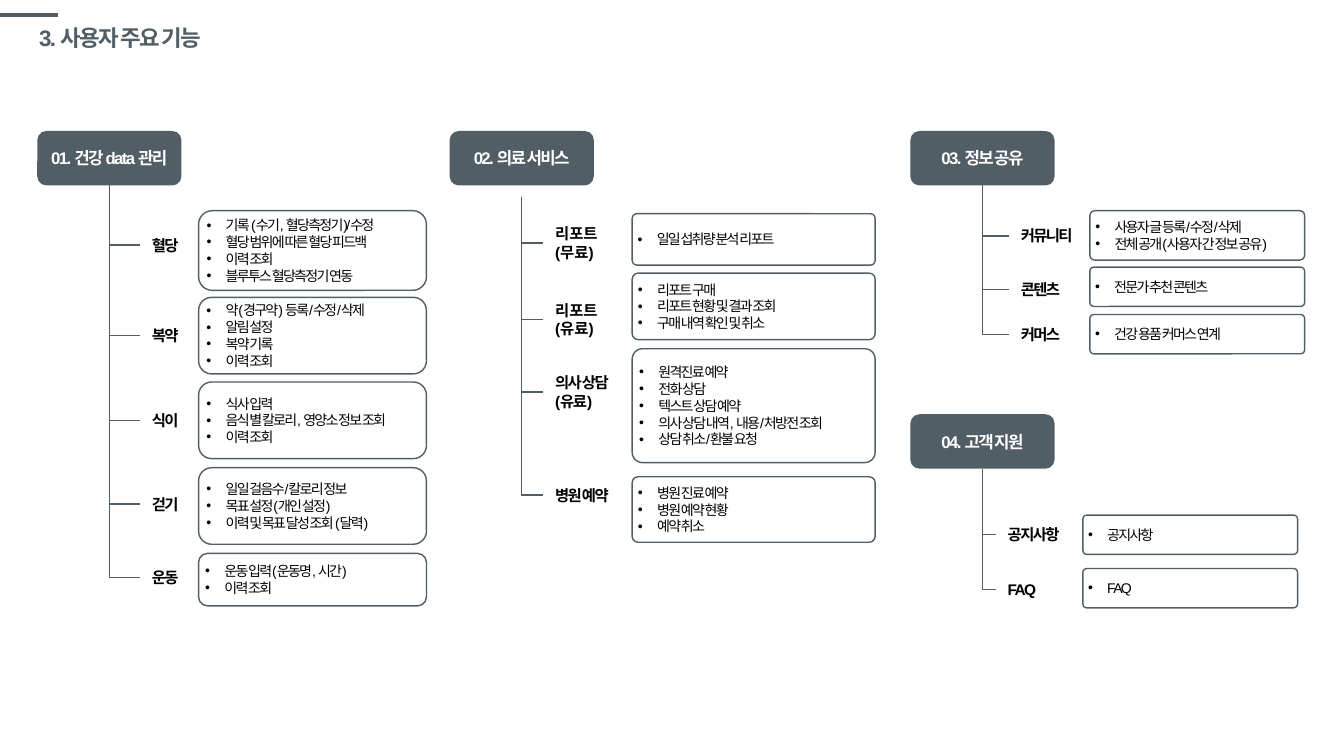
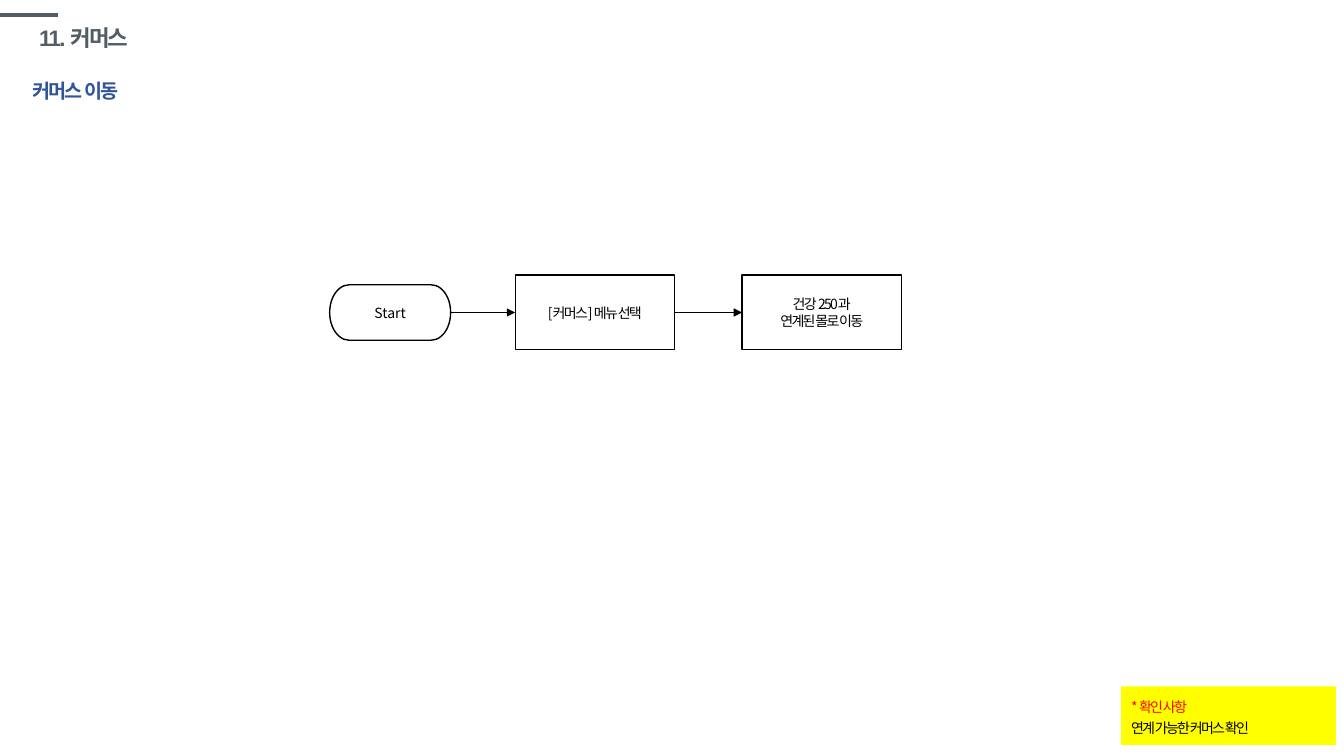
import dataclasses

import pptx
import pptx.dml.color
import pptx.enum.shapes
import pptx.enum.text
import pptx.oxml.ns
import pptx.oxml.xmlchemy
import pptx.util

Inches = pptx.util.Inches
Pt = pptx.util.Pt
Shape = pptx.enum.shapes.MSO_SHAPE
Link = pptx.enum.shapes.MSO_CONNECTOR
Align = pptx.enum.text.PP_ALIGN
Anchor = pptx.enum.text.MSO_ANCHOR
qn = pptx.oxml.ns.qn
new_element = pptx.oxml.xmlchemy.OxmlElement


@dataclasses.dataclass(frozen=True)
class Theme:
    slate: str = "515E65"
    black: str = "000000"
    white: str = "FFFFFF"
    blue: str = "2F5597"
    red: str = "FF0000"
    yellow: str = "FFFF00"
    latin: str = "Arial"
    korean: str = "Noto Sans CJK KR"
    title: int = 16
    subtitle: int = 14
    heading: int = 12
    label: int = 11
    body: int = 10
    tight: int = -120


THEME = Theme()


@dataclasses.dataclass
class Item:
    label: list
    middle: float
    top: float
    height: float
    bullets: list
    tight: int = THEME.tight


@dataclasses.dataclass
class Branch:
    heading: str
    left: float
    top: float
    trunk_top: float
    label_left: float
    box_left: float
    box_width: float
    corner: float
    items: list


BRANCHES = [
    Branch("01. 건강 data 관리", 0.37, 1.3, 1.84, 1.39, 1.97, 2.26, 0.17, [
        Item(["혈당"], 2.43, 2.09, 0.79,
             ["기록 (수기, 혈당측정기)/수정", "혈당 범위에 따른 혈당 피드백",
              "이력 조회", "블루투스 혈당측정기 연동"]),
        Item(["복약"], 3.33, 2.95, 0.76,
             ["약(경구약) 등록/수정/삭제", "알림 설정", "복약 기록", "이력 조회"]),
        Item(["식이"], 4.17, 3.79, 0.76,
             ["식사 입력", "음식 별 칼로리, 영양소 정보 조회", "이력 조회"]),
        Item(["걷기"], 5, 4.64, 0.76,
             ["일일 걸음수/칼로리 정보", "목표 설정(개인 설정)",
              "이력 및 목표 달성 조회 (달력)"]),
        Item(["운동"], 5.73, 5.49, 0.52, ["운동 입력(운동명, 시간)", "이력 조회"]),
    ]),
    Branch("02. 의료 서비스", 4.46, 1.3, 1.95, 5.39, 6.27, 2.41, 0.09, [
        Item(["리포트", "(무료)"], 2.41, 2.12, 0.51, ["일일 섭취량 분석 리포트"], 0),
        Item(["리포트", "(유료)"], 3.17, 2.71, 0.66,
             ["리포트 구매", "리포트 현황 및 결과 조회", "구매 내역 확인 및 취소"], 0),
        Item(["의사 상담", "(유료)"], 3.89, 3.46, 1.13,
             ["원격진료 예약", "전화 상담", "텍스트 상담 예약",
              "의사 상담 내역, 내용/처방전 조회", "상담 취소/환불 요청"]),
        Item(["병원 예약"], 4.91, 4.73, 0.65,
             ["병원 진료 예약", "병원 예약 현황", "예약 취소"]),
    ]),
    Branch("03. 정보 공유", 9.03, 1.3, 1.84, 10.01, 10.81, 2.13, 0.1, [
        Item(["커뮤니티"], 2.34, 2.09, 0.49,
             ["사용자 글 등록/수정/삭제", "전체 공개(사용자 간 정보 공유)"]),
        Item(["콘텐츠"], 2.87, 2.65, 0.39, ["전문가 추천 콘텐츠"]),
        Item(["커머스"], 3.32, 3.12, 0.39, ["건강 용품 커머스 연계"]),
    ]),
    Branch("04. 고객 지원", 9.03, 4.11, 4.65, 9.88, 10.74, 2.13, 0.1, [
        Item(["공지사항"], 5.3, 5.11, 0.39, ["공지사항"]),
        Item(["FAQ"], 5.85, 5.64, 0.39, ["FAQ"]),
    ]),
]


# Text
def rgb(color):
    return pptx.dml.color.RGBColor.from_string(color)


def add_span(para, text, size, color, bold=False, font=THEME.latin, spacing=THEME.tight):
    span = para.add_run()
    span.text = text
    span.font.size = Pt(size)
    span.font.bold = bold
    span.font.color.rgb = rgb(color)
    span.font.name = font
    properties = span._r.get_or_add_rPr()
    if spacing:
        properties.set("spc", str(spacing))
    east = new_element("a:ea")
    east.set("typeface", THEME.korean)
    properties.append(east)


def add_bullet(para):
    properties = para._p.get_or_add_pPr()
    properties.set("marL", str(Inches(0.19)))
    properties.set("indent", str(-Inches(0.19)))
    for tag, name, value in (("a:buFont", "typeface", THEME.latin), ("a:buChar", "char", "•")):
        mark = new_element(tag)
        mark.set(name, value)
        properties.append(mark)


def write(box, lines, size, color, align=Align.LEFT, wrap=False, line_spacing=None,
          anchor=Anchor.MIDDLE, bullets=False, **style):
    frame = box.text_frame
    frame.word_wrap = wrap
    frame.vertical_anchor = anchor
    if bullets:
        frame.margin_left = frame.margin_right = Inches(0.04)
        frame.margin_top = frame.margin_bottom = 0
    for index, line in enumerate(lines):
        para = frame.paragraphs[0] if index == 0 else frame.add_paragraph()
        para.alignment = align
        if line_spacing:
            para.line_spacing = line_spacing
        if bullets:
            add_bullet(para)
        add_span(para, line, size, color, **style)


# Shapes and lines
def add_box(page, kind, left, top, width, height, fill=None, line=None, corner=None):
    box = page.shapes.add_shape(kind, Inches(left), Inches(top), Inches(width), Inches(height))
    box.shadow.inherit = False
    if corner is not None:
        box.adjustments[0] = corner
    if fill:
        box.fill.solid()
        box.fill.fore_color.rgb = rgb(fill)
    else:
        box.fill.background()
    if line:
        box.line.color.rgb = rgb(line)
        box.line.width = Pt(1)
    else:
        box.line.fill.background()
    return box


def add_line(page, kind, start, end, color, width):
    line = page.shapes.add_connector(kind, *map(Inches, start + end))
    line.line.color.rgb = rgb(color)
    line.line.width = Pt(width)
    line._element.spPr.append(new_element("a:effectLst"))
    return line


def add_elbow(page, x, y, end_x, end_y):
    """Run down from (x, y), then right to the end, as a quarter-turned elbow."""
    middle_x, middle_y = (x + end_x) / 2, (y + end_y) / 2
    half_run, half_drop = (end_x - x) / 2, (end_y - y) / 2
    elbow = add_line(page, Link.ELBOW, (middle_x + half_drop, middle_y - half_run),
                     (middle_x - half_drop, middle_y + half_run), THEME.slate, 1)
    properties = elbow._element.spPr
    properties.find(qn("a:xfrm")).set("rot", str(270 * 60000))
    properties.find(qn("a:prstGeom")).set("prst", "bentConnector2")


def add_arrow(page, source, target):
    arrow = add_line(page, Link.STRAIGHT, (0, 0), (1, 0), THEME.black, 0.5)
    arrow.begin_connect(source, 3)
    arrow.end_connect(target, 1)
    head = new_element("a:tailEnd")
    head.set("type", "triangle")
    arrow._element.spPr.find(qn("a:ln")).append(head)


def add_text(page, left, top, width, height, lines, size, color, **style):
    box = page.shapes.add_textbox(Inches(left), Inches(top), Inches(width), Inches(height))
    write(box, lines, size, color, wrap=True, **style)


# Page parts
def add_page(deck, title):
    page = deck.slides.add_slide(deck.slide_layouts[6])
    add_line(page, Link.STRAIGHT, (0, 0.15), (0.58, 0.15), THEME.slate, 3)
    add_text(page, 0.29, 0.19, 11.5, 0.39, [title], THEME.title, THEME.slate,
             bold=True, line_spacing=0.9)
    return page


def add_branch(page, branch):
    width = 1.43
    heading = add_box(page, Shape.ROUNDED_RECTANGLE, branch.left, branch.top, width, 0.54,
                      fill=THEME.slate)
    write(heading, [branch.heading], THEME.heading, THEME.white, align=Align.CENTER, bold=True)
    for item in branch.items:
        add_elbow(page, branch.left + width / 2, branch.trunk_top,
                  branch.label_left, item.middle)
        label = add_box(page, Shape.ROUNDED_RECTANGLE, branch.label_left,
                        item.middle - 0.17, 0.72, 0.34)
        write(label, item.label, THEME.label, THEME.black, bold=True, spacing=item.tight)
        box = add_box(page, Shape.ROUNDED_RECTANGLE, branch.box_left, item.top,
                      branch.box_width, item.height, line=THEME.slate, corner=branch.corner)
        write(box, item.bullets, THEME.body, THEME.black, bullets=True)


def add_step(page, kind, left, width, height, lines, spacing=THEME.tight):
    step = add_box(page, kind, left, 3.1 - height / 2, width, height,
                   fill=THEME.white, line=THEME.black)
    write(step, lines, THEME.body, THEME.black, align=Align.CENTER,
          font=THEME.korean, spacing=spacing)
    return step


def add_note(page, heading, text):
    note = add_box(page, Shape.RECTANGLE, 11.12, 6.81, 2.13, 0.58, fill=THEME.yellow)
    write(note, [heading], THEME.body, THEME.red, wrap=True, line_spacing=1.2,
          font=THEME.korean)
    para = note.text_frame.add_paragraph()
    para.alignment = Align.LEFT
    para.line_spacing = 1.2
    add_span(para, text, THEME.body, THEME.black, font=THEME.korean)


def main():
    deck = pptx.Presentation()
    deck.slide_width, deck.slide_height = Inches(13.33), Inches(7.5)

    # User functions
    page = add_page(deck, "3. 사용자 주요 기능")
    for branch in BRANCHES:
        add_branch(page, branch)

    # Commerce flow
    page = add_page(deck, "11. 커머스")
    add_text(page, 0.22, 0.62, 1.75, 0.41, ["커머스 이동"], THEME.subtitle, THEME.blue,
             bold=True, font=THEME.korean, line_spacing=1.5, anchor=Anchor.TOP)
    steps = [
        add_step(page, Shape.FLOWCHART_TERMINATOR, 3.27, 1.2, 0.55, ["Start"], spacing=0),
        add_step(page, Shape.FLOWCHART_PROCESS, 5.11, 1.58, 0.74, ["[커머스] 메뉴 선택"]),
        add_step(page, Shape.FLOWCHART_PROCESS, 7.36, 1.58, 0.74,
                 ["건강 250과", "연계된 몰로 이동"]),
    ]
    for source, target in zip(steps, steps[1:]):
        add_arrow(page, source, target)
    add_note(page, "* 확인 사항", "연계 가능한 커머스 확인")

    deck.save("out.pptx")


main()
